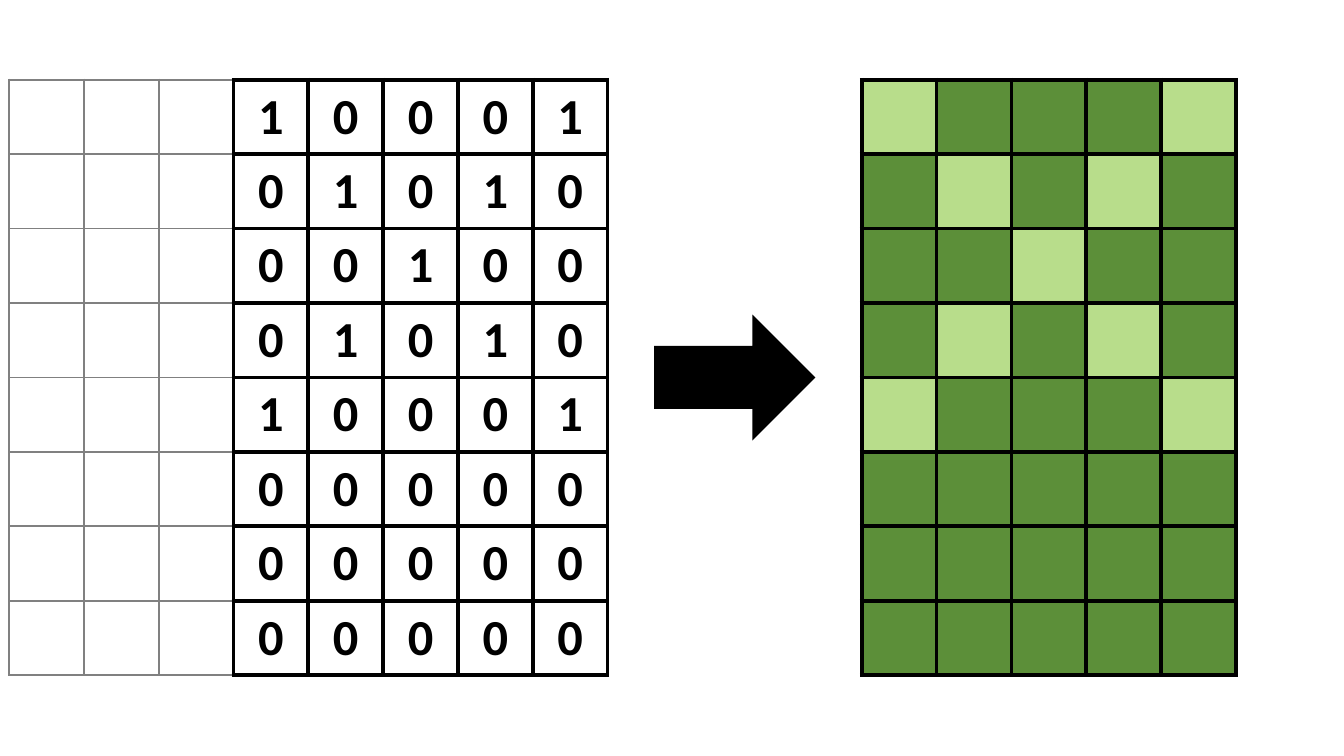
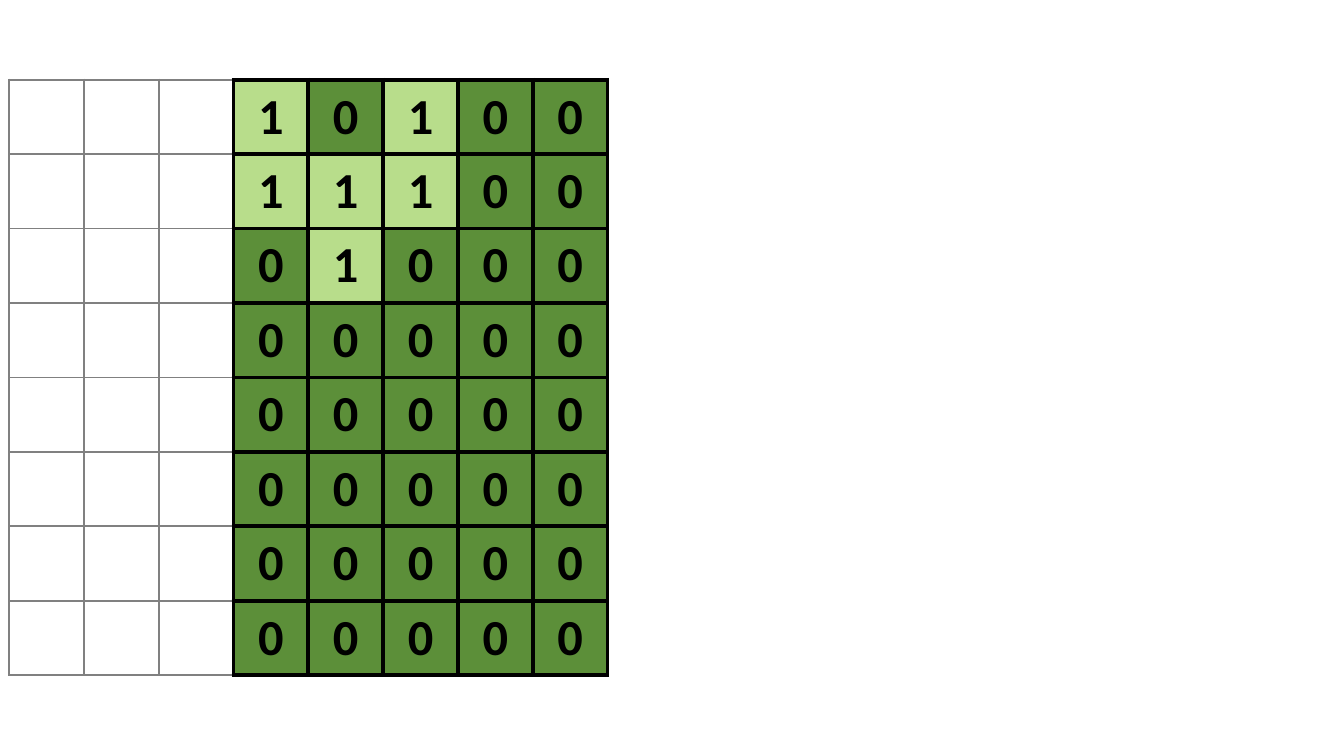
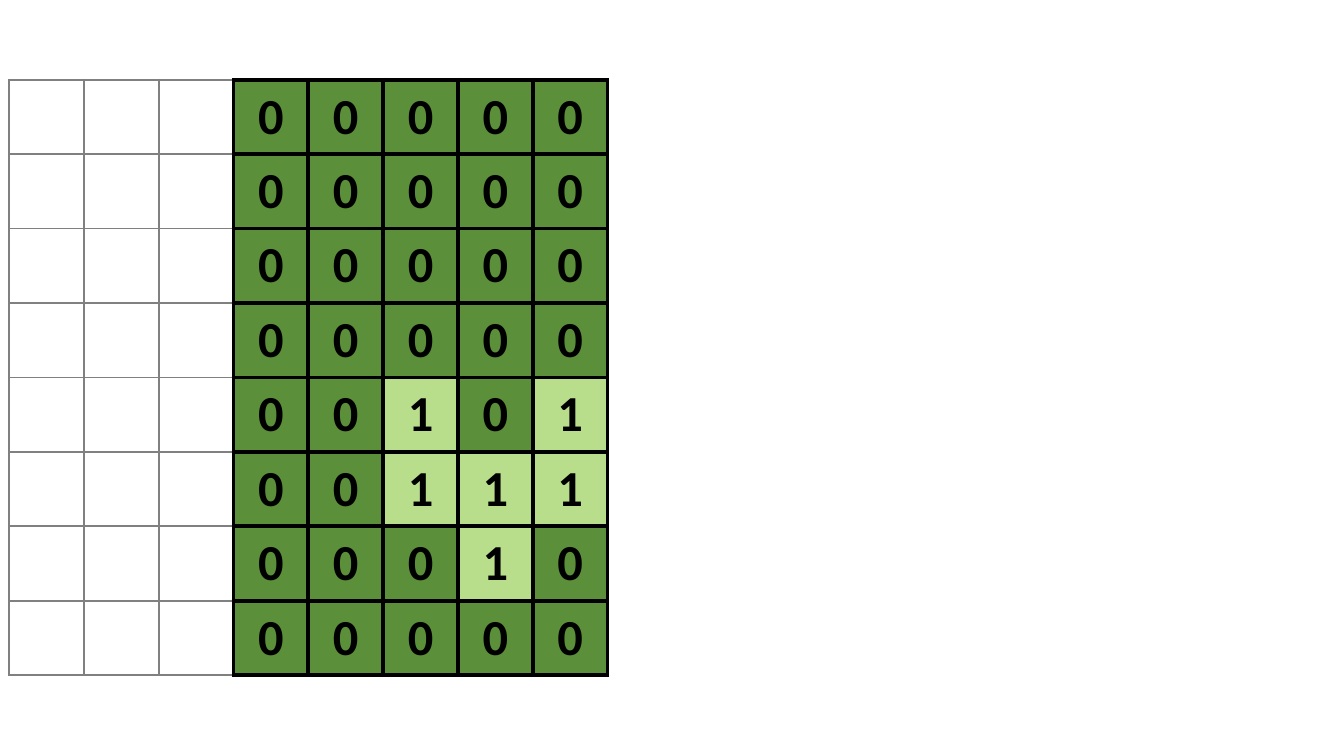
import pptx
import pptx.util
import pptx.dml.color
import pptx.enum.shapes
import pptx.enum.text
import pptx.oxml.ns
import lxml.etree

Pt = pptx.util.Pt

FONT = "Calibri"
BLACK, GREY = "000000", "808080"
SHADES = {"0": "5C8F39", "1": "B8DD8B"}
THICK, THIN = (BLACK, 3), (GREY, 1.5)
UNUSED = 3
CELL_W, CELL_H = 53.46, 53.19
TOP, BITS_LEFT, PIXELS_LEFT = 56.88, 6.48, 615.6
ARROW = (467.28, 224.64, 115.2, 90)

CROSS = ["10001", "01010", "00100", "01010", "10001", "00000", "00000", "00000"]
HEART_TOP = ["10100", "11100", "01000", "00000", "00000", "00000", "00000", "00000"]
HEART_BOTTOM = ["00000", "00000", "00000", "00000", "00101", "00111", "00010", "00000"]

SLIDES = [
    [("bits", CROSS), ("arrow", None), ("pixels", CROSS)],
    [("shaded bits", HEART_TOP)],
    [("shaded bits", HEART_BOTTOM)],
]


def rgb(color):
    return pptx.dml.color.RGBColor.from_string(color)


def set_fill(fill, color):
    if color:
        fill.solid()
        fill.fore_color.rgb = rgb(color)
    else:
        fill.background()


def set_borders(cell, **sides):
    qn = pptx.oxml.ns.qn
    tc_pr = cell._tc.get_or_add_tcPr()
    for i, side in enumerate("LRTB"):
        color, width = sides[side]
        ln = lxml.etree.Element(qn("a:ln" + side), w=str(Pt(width)))
        solid = lxml.etree.SubElement(ln, qn("a:solidFill"))
        lxml.etree.SubElement(solid, qn("a:srgbClr"), val=color)
        tc_pr.insert(i, ln)


def write_bit(cell, bit):
    cell.vertical_anchor = pptx.enum.text.MSO_ANCHOR.MIDDLE
    p = cell.text_frame.paragraphs[0]
    p.text = bit
    p.alignment = pptx.enum.text.PP_ALIGN.CENTER
    p.font.name, p.font.size, p.font.bold = FONT, Pt(36), True
    p.font.color.rgb = rgb(BLACK)


def add_grid(s, left, bitmap, unused, digits, shaded):
    n_rows, n_cols = len(bitmap), unused + len(bitmap[0])
    table = s.shapes.add_table(n_rows, n_cols, Pt(left), Pt(TOP),
                               Pt(CELL_W * n_cols), Pt(CELL_H * n_rows)).table
    table.first_row = table.horz_banding = False
    for column in table.columns:
        column.width = Pt(CELL_W)
    for row, bits in zip(table.rows, bitmap):
        row.height = Pt(CELL_H)
        for c, cell in enumerate(row.cells):
            used = c >= unused
            bit = bits[c - unused] if used else None
            set_fill(cell.fill, SHADES[bit] if used and shaded else None)
            edge = THICK if used else THIN
            right = THICK if c >= unused - 1 else THIN
            set_borders(cell, L=edge, R=right, T=edge, B=edge)
            if used and digits:
                write_bit(cell, bit)


def add_arrow(s):
    sp = s.shapes.add_shape(pptx.enum.shapes.MSO_SHAPE.RIGHT_ARROW, *map(Pt, ARROW))
    sp.shadow.inherit = False
    set_fill(sp.fill, BLACK)
    sp.line.fill.background()


def main():
    prs = pptx.Presentation()
    prs.slide_width, prs.slide_height = Pt(960), Pt(540)
    for parts in SLIDES:
        s = prs.slides.add_slide(prs.slide_layouts[6])
        for kind, bitmap in parts:
            if kind == "arrow":
                add_arrow(s)
            elif kind == "pixels":
                add_grid(s, PIXELS_LEFT, bitmap, 0, digits=False, shaded=True)
            else:
                add_grid(s, BITS_LEFT, bitmap, UNUSED, digits=True, shaded=kind == "shaded bits")
    prs.save("out.pptx")


if __name__ == "__main__":
    main()
